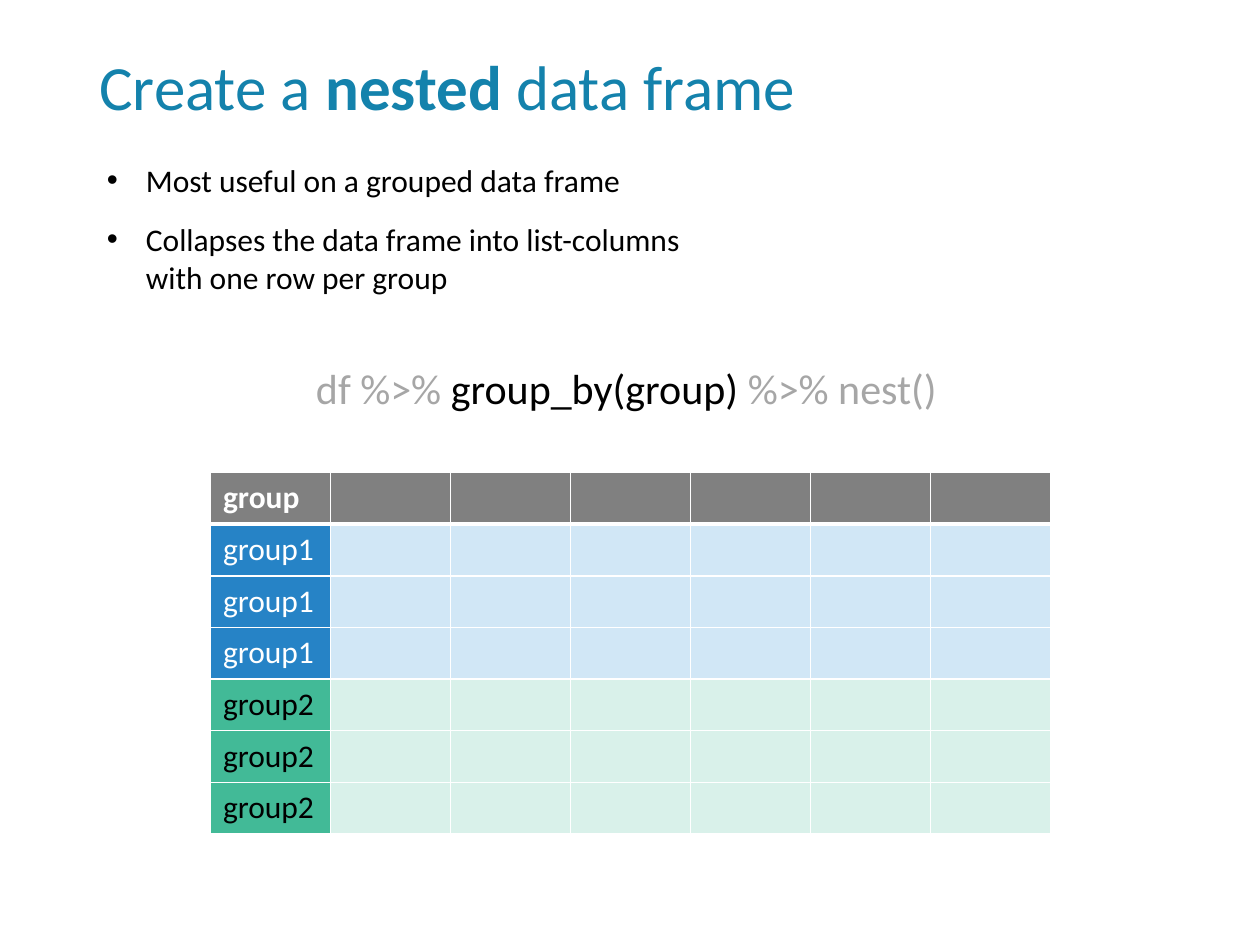
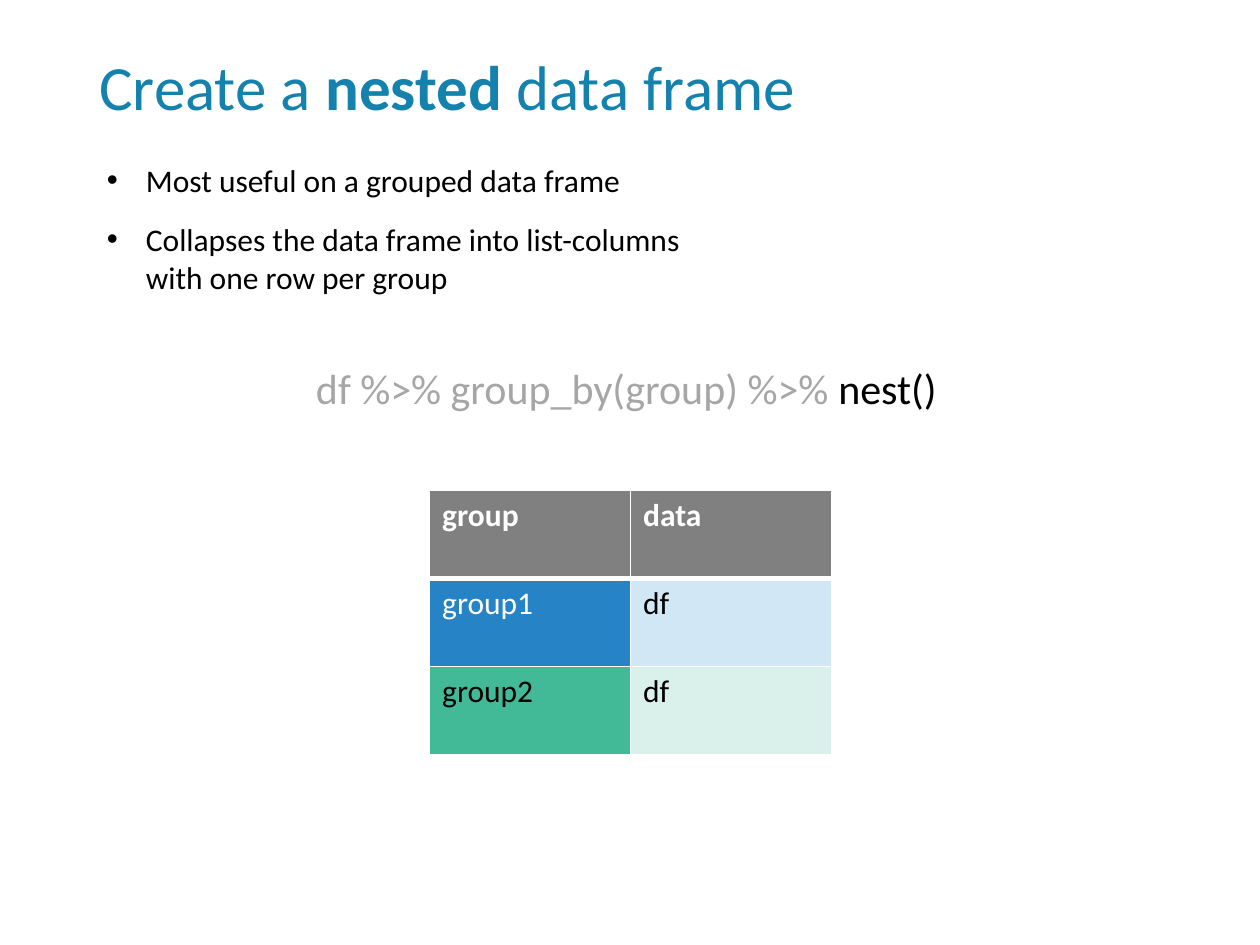
from dataclasses import dataclass

from lxml import etree
from pptx import Presentation
from pptx.dml.color import RGBColor
from pptx.enum.text import MSO_ANCHOR
from pptx.oxml.ns import qn
from pptx.util import Inches, Pt

TOP = MSO_ANCHOR.TOP
BLANK_LAYOUT = 6


@dataclass(frozen=True)
class Theme:
    font: str = "Calibri"
    title: str = "1482AC"
    ink: str = "000000"
    muted: str = "A6A6A6"
    white: str = "FFFFFF"
    header: str = "808080"
    group1: str = "2683C6"
    group1_light: str = "D1E7F6"
    group2: str = "42BA97"
    group2_light: str = "D9F1EA"
    title_size: int = 36
    code_size: int = 24
    body_size: int = 18
    rule: int = 1
    header_rule: int = 3


THEME = Theme()


def add_run(paragraph, text, size=THEME.body_size, color=THEME.ink, bold=False):
    """Append formatted text to a paragraph."""
    run = paragraph.add_run()
    run.text = text
    run.font.name = THEME.font
    run.font.size = Pt(size)
    run.font.bold = bold
    run.font.color.rgb = RGBColor.from_string(color)


class Deck:
    """Holds the style and the current slide."""

    def __init__(self, theme):
        self.theme = theme
        self.presentation = Presentation()
        self.presentation.slide_width = Inches(10)
        self.presentation.slide_height = Inches(7.5)
        self.slide = None

    def new_slide(self):
        layout = self.presentation.slide_layouts[BLANK_LAYOUT]
        self.slide = self.presentation.slides.add_slide(layout)

    def text_frame(self, left, top, width, height, wrap=True):
        box = self.slide.shapes.add_textbox(
            Inches(left), Inches(top), Inches(width), Inches(height))
        frame = box.text_frame
        frame.word_wrap = wrap
        frame.vertical_anchor = TOP
        return frame

    def title(self, parts):
        """Parts are (text, bold) pairs."""
        paragraph = self.text_frame(0.69, 0.4, 8.62, 0.83).paragraphs[0]
        paragraph.line_spacing = 0.9
        for text, bold in parts:
            add_run(paragraph, text, size=self.theme.title_size,
                    color=self.theme.title, bold=bold)

    def bullets(self, points):
        frame = self.text_frame(0.75, 1.23, 5, 1.19)
        for index, point in enumerate(points):
            paragraph = frame.add_paragraph() if index else frame.paragraphs[0]
            paragraph.space_before = Pt(12 if index else 0)
            properties = paragraph._p.get_or_add_pPr()
            properties.set("marL", str(Inches(0.31)))
            properties.set("indent", str(-Inches(0.31)))
            etree.SubElement(properties, qn("a:buFont"), typeface="Arial")
            etree.SubElement(properties, qn("a:buChar"), char="•")
            add_run(paragraph, point)

    def pipeline(self, steps, active):
        """Write the code line with one step emphasised."""
        paragraph = self.text_frame(2.41, 2.83, 5.17, 0.5, wrap=False).paragraphs[0]
        for index, step in enumerate(steps):
            if index:
                add_run(paragraph, "%>% ", size=self.theme.code_size,
                        color=self.theme.muted)
            gap = " " if index < len(steps) - 1 else ""
            color = self.theme.ink if step == active else self.theme.muted
            add_run(paragraph, step + gap, size=self.theme.code_size, color=color)

    def cell_borders(self, cell, **widths):
        properties = cell._tc.get_or_add_tcPr()
        for side in "LRTB":
            width = widths.get(side, self.theme.rule)
            line = etree.SubElement(properties, qn(f"a:ln{side}"), w=str(Pt(width)))
            fill = etree.SubElement(line, qn("a:solidFill"))
            etree.SubElement(fill, qn("a:srgbClr"), val=self.theme.white)

    def group_table(self, left, top, width, row_height, rows):
        """Draw a header row, then rows coloured by the group in column one."""
        theme = self.theme
        group_styles = {
            "group": (theme.header, theme.header, theme.white, theme.white),
            "group1": (theme.group1, theme.group1_light, theme.white, theme.ink),
            "group2": (theme.group2, theme.group2_light, theme.ink, theme.ink),
        }
        table = self.slide.shapes.add_table(
            len(rows), len(rows[0]), Inches(left), Inches(top),
            Inches(width), Inches(row_height * len(rows))).table
        for row in table.rows:
            row.height = Inches(row_height)

        for row_index, values in enumerate(rows):
            key_fill, data_fill, key_ink, data_ink = group_styles[values[0]]
            thick_sides = {0: {"B": theme.header_rule},
                           1: {"T": theme.header_rule}}.get(row_index, {})
            for column, value in enumerate(values):
                cell = table.cell(row_index, column)
                self.cell_borders(cell, **thick_sides)
                cell.fill.solid()
                cell.fill.fore_color.rgb = RGBColor.from_string(
                    data_fill if column else key_fill)
                if value:
                    add_run(cell.text_frame.paragraphs[0], value,
                            color=data_ink if column else key_ink,
                            bold=row_index == 0)


# Content shared by both slides
TITLE = [("Create a ", False), ("nested", True), (" data frame", False)]
POINTS = [
    "Most useful on a grouped data frame",
    "Collapses the data frame into list-columns with one row per group",
]
GROUP_STEP, NEST_STEP = "group_by(group)", "nest()"
STEPS = ["df", GROUP_STEP, NEST_STEP]


def nest_slide(deck, active_step, **table):
    deck.new_slide()
    deck.title(TITLE)
    deck.bullets(POINTS)
    deck.pipeline(STEPS, active_step)
    deck.group_table(**table)


def main():
    deck = Deck(THEME)

    # Grouped data frame: three rows per group, six unnamed columns
    grouped_keys = ["group"] + ["group1"] * 3 + ["group2"] * 3
    nest_slide(deck, GROUP_STEP, left=1.67, top=3.75, width=6.67, row_height=0.41,
               rows=[[key] + [""] * 6 for key in grouped_keys])

    # Nested data frame: one row per group
    nest_slide(deck, NEST_STEP, left=3.41, top=3.89, width=3.19, row_height=0.7,
               rows=[["group", "data"], ["group1", "df"], ["group2", "df"]])

    deck.presentation.save("out.pptx")


if __name__ == "__main__":
    main()
